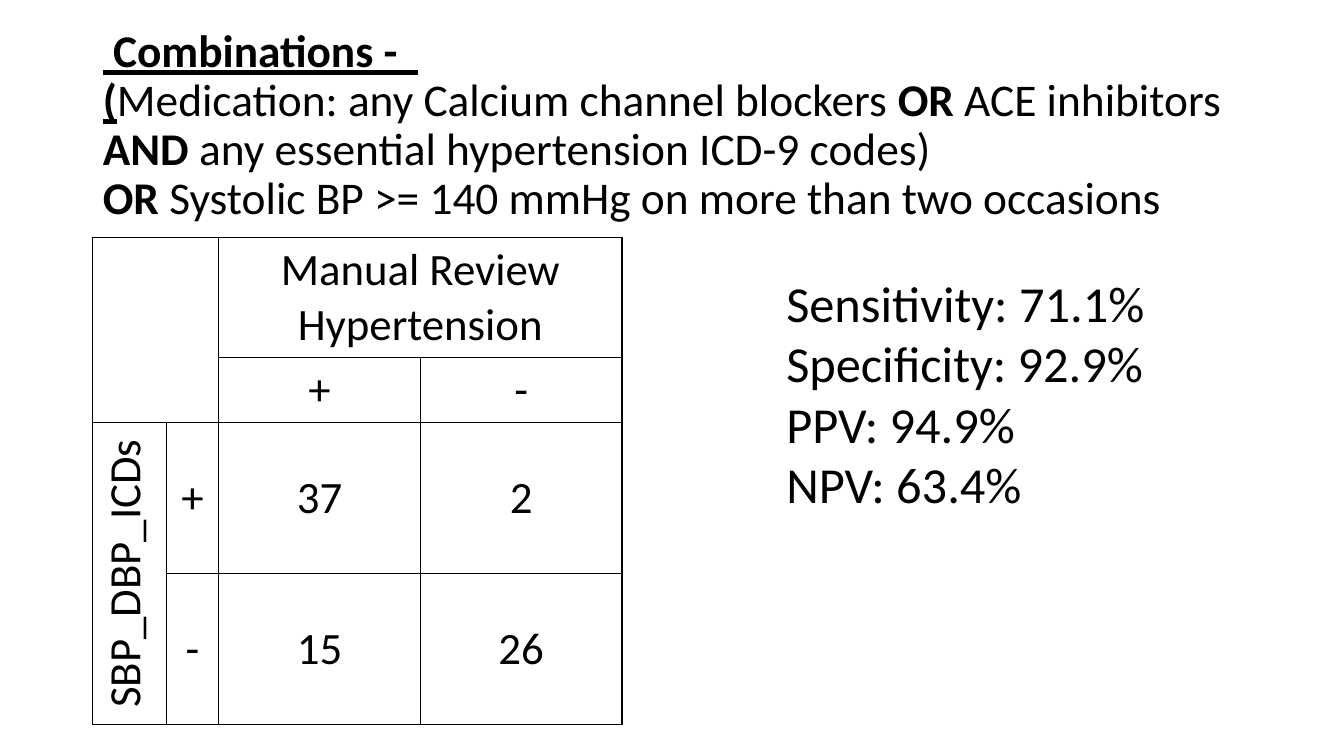
from lxml.etree import SubElement
from pptx import Presentation
from pptx.dml.color import RGBColor
from pptx.enum.text import MSO_ANCHOR, MSO_AUTO_SIZE, PP_ALIGN
from pptx.oxml.ns import qn
from pptx.util import Inches, Pt

BLACK = RGBColor(0x00, 0x00, 0x00)
BOLD = {"bold": True}
HEAD = {"bold": True, "underline": True}

TITLE = [
    [(" Combinations -  ", HEAD)],
    [("(", HEAD), ("Medication: any Calcium channel blockers ", {}),
     ("OR", BOLD), (" ACE inhibitors", {})],
    [("AND", BOLD), (" any essential hypertension ICD-9 codes)", {})],
    [("OR", BOLD),
     (" Systolic BP >= 140 mmHg on more than two occasions", {})],
]
COLS = [0.73, 0.52, 2, 2]
ROWS = [1.18, 0.64, 1.5, 1.5]
CELLS = [
    ["", "", "Manual Review Hypertension", ""],
    ["", "", "+", "-"],
    ["SBP_DBP_ICDs", "+", "37", "2"],
    ["", "-", "15", "26"],
]
MERGES = [((0, 0), (1, 1)), ((0, 2), (0, 3)), ((2, 0), (3, 0))]
SCORES = ["Sensitivity: 71.1%", "Specificity: 92.9%", "PPV: 94.9%", "NPV: 63.4%"]


def style(font, size, **extra):
    look = {"name": "Calibri", "size": Pt(size), "bold": False,
            "underline": False, **extra}
    for key, value in look.items():
        setattr(font, key, value)
    font.color.rgb = BLACK


def add_title(slide):
    title = slide.shapes.title
    title.left, title.top = Inches(0.92), Inches(0.79)
    title.width, title.height = Inches(12.12), Inches(1.45)
    frame = title.text_frame
    look = {"word_wrap": True, "auto_size": MSO_AUTO_SIZE.NONE,
            "vertical_anchor": MSO_ANCHOR.BOTTOM, "margin_bottom": Inches(0.01)}
    for key, value in look.items():
        setattr(frame, key, value)
    para = frame.paragraphs[0]
    para.alignment = PP_ALIGN.LEFT
    para.line_spacing = 0.9
    for row, line in enumerate(TITLE):
        if row:
            para.add_line_break()
        for text, extra in line:
            run = para.add_run()
            run.text = text
            style(run.font, 32.4, **extra)


def add_edges(cell):
    """Draw a thin black line on all four sides of a cell."""
    props = cell._tc.get_or_add_tcPr()
    for side in ("lnL", "lnR", "lnT", "lnB"):
        line = SubElement(props, qn(f"a:{side}"), w=str(Pt(1)))
        fill = SubElement(line, qn("a:solidFill"))
        SubElement(fill, qn("a:srgbClr"), val=str(BLACK))


def fill_cell(cell, text):
    add_edges(cell)
    cell.fill.background()
    if text:
        cell.text = text
        cell.vertical_anchor = MSO_ANCHOR.MIDDLE
        para = cell.text_frame.paragraphs[0]
        para.alignment = PP_ALIGN.CENTER
        style(para.runs[0].font, 32)


def add_grid(slide):
    table = slide.shapes.add_table(
        len(ROWS), len(COLS), Inches(0.92), Inches(2.36),
        Inches(sum(COLS)), Inches(sum(ROWS))).table
    table.first_row = table.horz_banding = False
    for col, width in zip(table.columns, COLS):
        col.width = Inches(width)
    for row, height in zip(table.rows, ROWS):
        row.height = Inches(height)
    for start, end in MERGES:
        table.cell(*start).merge(table.cell(*end))
    for r, texts in enumerate(CELLS):
        for c, text in enumerate(texts):
            fill_cell(table.cell(r, c), text)
    table.cell(0, 2).vertical_anchor = MSO_ANCHOR.TOP
    table.cell(2, 0)._tc.get_or_add_tcPr().set("vert", "vert270")


def add_scores(slide):
    box = slide.shapes.add_textbox(
        Inches(7.7), Inches(2.65), Inches(3.92), Inches(2.52))
    frame = box.text_frame
    frame.word_wrap = True
    frame.text = "\n".join(SCORES)
    for para in frame.paragraphs:
        style(para.runs[0].font, 36)


def main():
    deck = Presentation()
    deck.slide_width, deck.slide_height = Inches(13.33), Inches(7.5)
    slide = deck.slides.add_slide(deck.slide_layouts[5])
    add_title(slide)
    add_grid(slide)
    add_scores(slide)
    deck.save("out.pptx")


if __name__ == "__main__":
    main()
